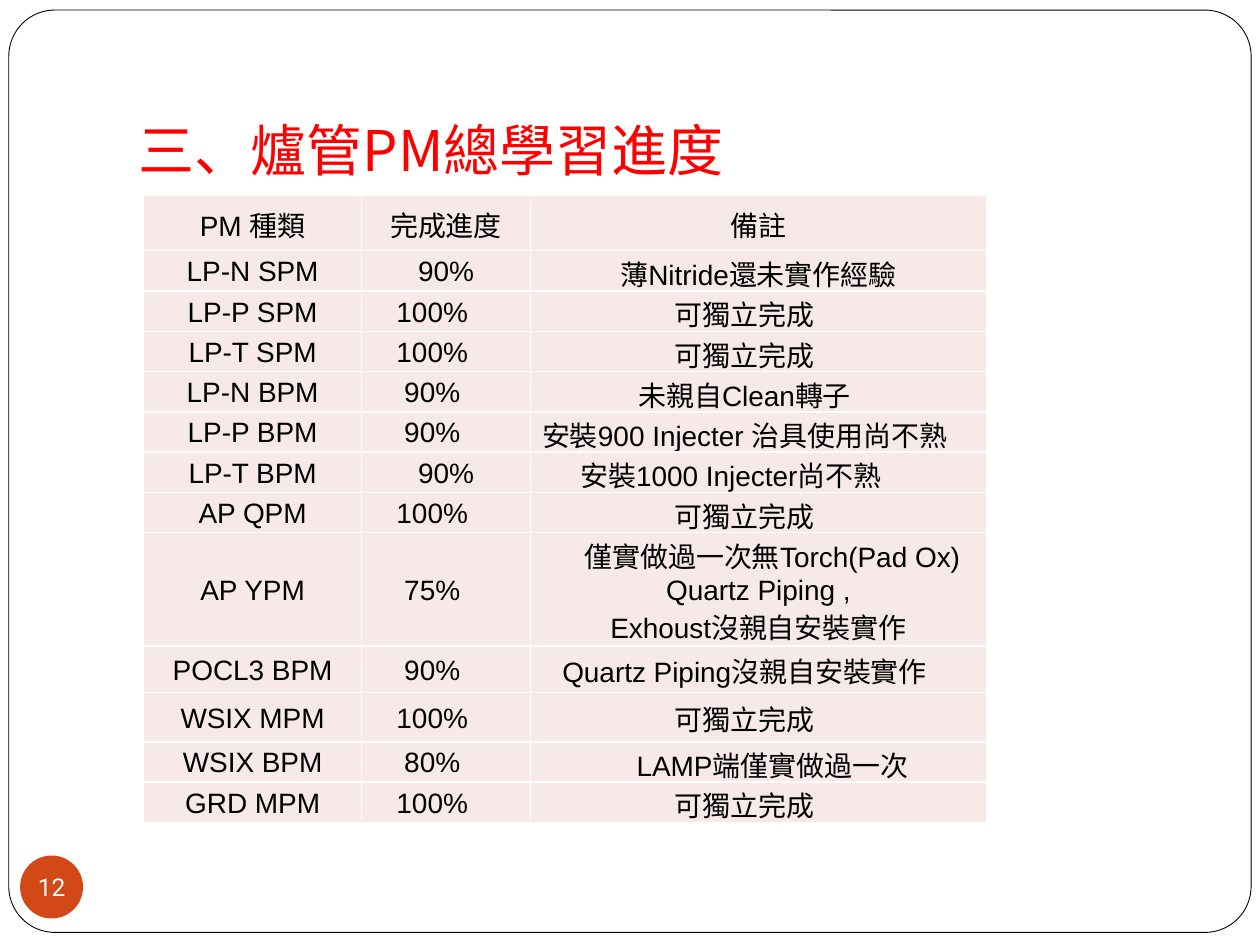
from lxml import etree
from pptx import Presentation, util as u
from pptx.dml.color import RGBColor
from pptx.enum import shapes, text
from pptx.oxml.ns import qn

# Content: kind, progress, note lines
TITLE = "三、爐管PM總學習進度"
PAGE = "12"
DONE = "可獨立完成"
ROWS = [
    ("PM 種類", "完成進度", "備註"),
    ("LP-N SPM", "90%", "薄Nitride還未實作經驗"),
    ("LP-P SPM", "100%", DONE),
    ("LP-T SPM", "100%", DONE),
    ("LP-N BPM", "90%", "未親自Clean轉子"),
    ("LP-P BPM", "90%", "安裝900 Injecter 治具使用尚不熟"),
    ("LP-T BPM", "90%", "安裝1000 Injecter尚不熟"),
    ("AP QPM", "100%", DONE),
    ("AP YPM", "75%", "僅實做過一次無Torch(Pad Ox) Quartz Piping ,\nExhoust沒親自安裝實作"),
    ("POCL3 BPM", "90%", "Quartz Piping沒親自安裝實作"),
    ("WSIX MPM", "100%", DONE),
    ("WSIX BPM", "80%", "LAMP端僅實做過一次"),
    ("GRD MPM", "100%", DONE),
]
WIDTHS = [1.73, 1.34, 3.62]
HEIGHTS = {0: 0.44, 8: 0.9, 9: 0.37, 10: 0.39}
ROW = 0.32

# Offsets from centre, in full-width characters
EM = 0.22
CENTRED = {(0, 1), (0, 2), (1, 1), (1, 2), (6, 1)}
INDENT = {(8, 2), (11, 2)}
WIDE = {(6, 2): 2}

COLORS = {"ink": "000000", "paper": "FFFFFF", "title": "FF0000",
          "cell": "F7E9E8", "badge": "D34817"}
CJK = "Noto Sans CJK SC"


def rgb(name):
    return RGBColor.from_string(COLORS[name])


def paint(fill, name):
    fill.solid()
    fill.fore_color.rgb = rgb(name)


def pad(box, left, top, right, bottom):
    box.margin_left, box.margin_top = u.Inches(left), u.Inches(top)
    box.margin_right, box.margin_bottom = u.Inches(right), u.Inches(bottom)


def write(para, words, size, font, color):
    run = para.add_run()
    run.text = words
    run.font.size = u.Pt(size)
    run.font.name = font
    run.font.color.rgb = rgb(color)
    east = etree.SubElement(run.font._element, qn("a:ea"))
    east.set("typeface", CJK)


def edge(cell):
    props = cell._tc.get_or_add_tcPr()
    for i, side in enumerate(("lnL", "lnR", "lnT", "lnB")):
        line = etree.Element(qn("a:" + side), w=str(u.Pt(1)))
        solid = etree.SubElement(line, qn("a:solidFill"))
        etree.SubElement(solid, qn("a:srgbClr"), val=COLORS["paper"])
        props.insert(i, line)


def shape(slide, kind, *place):
    item = slide.shapes.add_shape(kind, *map(u.Inches, place))
    item.shadow.inherit = False
    return item


def fill_cell(cell, spot, words):
    shift = 0
    if spot[1] > 0 and spot not in CENTRED | INDENT:
        shift = WIDE.get(spot, 1) * EM
    pad(cell, 0.02, 0.02, 0.02 + shift, 0)
    cell.vertical_anchor = text.MSO_ANCHOR.MIDDLE
    paint(cell.fill, "cell")
    edge(cell)
    frame = cell.text_frame
    for i, line in enumerate(words.split("\n")):
        para = frame.add_paragraph() if i else frame.paragraphs[0]
        para.alignment = text.PP_ALIGN.CENTER
        if spot in INDENT and i == 0:
            para._p.get_or_add_pPr().set("indent", str(u.Inches(EM)))
        write(para, line, 16, "Arial", "ink")


def main():
    deck = Presentation()
    deck.slide_width, deck.slide_height = u.Inches(10), u.Inches(7.5)
    slide = deck.slides.add_slide(deck.slide_layouts[6])

    # Rounded frame
    frame = shape(slide, shapes.MSO_SHAPE.ROUNDED_RECTANGLE, 0.07, 0.08, 9.86, 7.32)
    frame.adjustments[0] = 0.05
    paint(frame.fill, "paper")
    frame.line.color.rgb = rgb("ink")
    frame.line.width = u.Pt(0.5)

    # Title
    head = slide.shapes.add_textbox(*map(u.Inches, (1, 0.3, 8.5, 1.25))).text_frame
    head.word_wrap = True
    head.vertical_anchor = text.MSO_ANCHOR.BOTTOM
    pad(head, 0.1, 0.05, 0.1, 0.1)
    write(head.paragraphs[0], TITLE, 32, CJK, "title")

    # Progress table
    tall = [HEIGHTS.get(i, ROW) for i in range(len(ROWS))]
    place = (1.14, 1.55, sum(WIDTHS), sum(tall))
    table = slide.shapes.add_table(len(ROWS), len(WIDTHS), *map(u.Inches, place)).table
    for col, width in zip(table.columns, WIDTHS):
        col.width = u.Inches(width)
    for r, line in enumerate(ROWS):
        table.rows[r].height = u.Inches(tall[r])
        for c, words in enumerate(line):
            fill_cell(table.cell(r, c), (r, c), words)

    # Page number
    badge = shape(slide, shapes.MSO_SHAPE.OVAL, 0.16, 6.79, 0.5, 0.5)
    paint(badge.fill, "badge")
    badge.line.fill.background()
    spot = badge.text_frame
    spot.word_wrap = False
    spot.vertical_anchor = text.MSO_ANCHOR.MIDDLE
    pad(spot, 0, 0, 0, 0)
    spot.paragraphs[0].alignment = text.PP_ALIGN.CENTER
    write(spot.paragraphs[0], PAGE, 14, "Roboto", "paper")

    deck.save("out.pptx")


if __name__ == "__main__":
    main()
